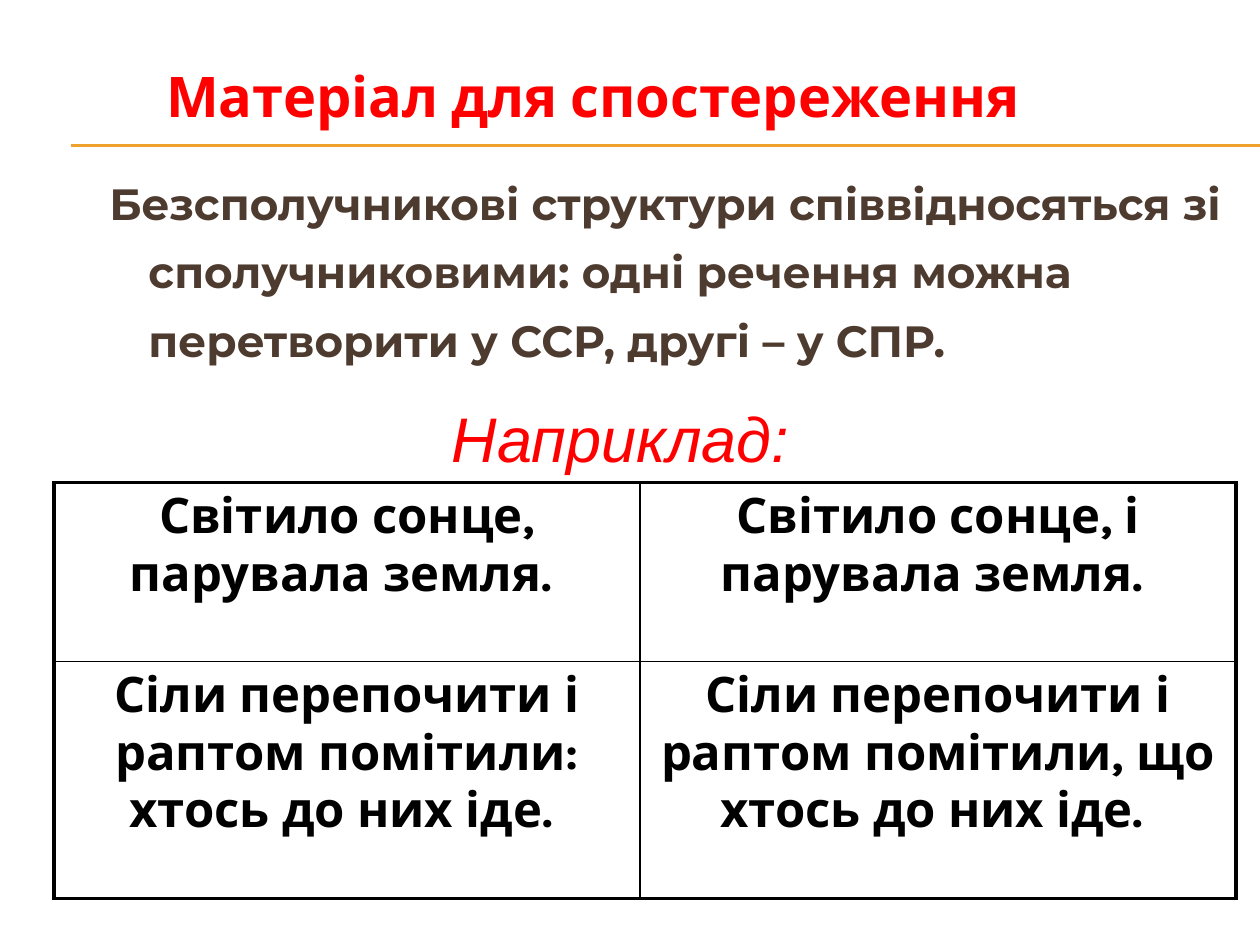
from lxml import etree
from pptx import Presentation
from pptx.dml.color import RGBColor
from pptx.enum import shapes, text
from pptx.oxml import ns
from pptx.util import Inches, Pt

COLORS = {"red": "FF0000", "brown": "4E3B30", "black": "000000", "gold": "F0A22E"}


def write(frame, content, font, size, color, bold=False, italic=False,
          align=text.PP_ALIGN.LEFT, wrap=True, spacing=None):
    frame.word_wrap = wrap
    paragraph = frame.paragraphs[0]
    paragraph.alignment = align
    paragraph.line_spacing = spacing
    run = paragraph.add_run()
    run.text = content
    run.font.name = font
    run.font.size = Pt(size)
    run.font.bold = bold
    run.font.italic = italic
    run.font.color.rgb = RGBColor.from_string(COLORS[color])
    return paragraph


def add_border(cell, side, width):
    props = cell._tc.get_or_add_tcPr()
    border = etree.SubElement(props, ns.qn(f"a:{side}"), w=str(Pt(width)))
    fill = etree.SubElement(border, ns.qn("a:solidFill"))
    etree.SubElement(fill, ns.qn("a:srgbClr"), val=COLORS["black"])


prs = Presentation()
prs.slide_width = Inches(10)
prs.slide_height = Inches(7.5)
slide = prs.slides.add_slide(prs.slide_layouts[6])

for y in (1.15, 1.16):
    rule = slide.shapes.add_connector(
        shapes.MSO_CONNECTOR.STRAIGHT, Inches(0.56), Inches(y), Inches(10), Inches(y))
    rule.line.color.rgb = RGBColor.from_string(COLORS["gold"])
    rule.line.width = Pt(0.75)
    etree.SubElement(rule._element.spPr, ns.qn("a:effectLst"))

statement = slide.shapes.add_textbox(Inches(0.27), Inches(1.23), Inches(9.73), Inches(6.27))
statement_line = write(
    statement.text_frame,
    "Безсполучникові структури співвідносяться зі сполучниковими: "
    "одні речення можна перетворити у ССР, другі – у СПР.",
    "Montserrat", 25, "brown", bold=True, spacing=1.3)
indent = statement_line._p.get_or_add_pPr()
indent.set("marL", str(Inches(0.81)))
indent.set("indent", str(Inches(-0.31)))

sentences = [
    ["Світило сонце, парувала земля. ", "Світило сонце, і парувала земля. "],
    ["Сіли перепочити і раптом помітили: хтось до них іде. ",
     "Сіли перепочити і раптом помітили, що хтось до них іде. "],
]
examples = slide.shapes.add_table(
    2, 2, Inches(0.43), Inches(3.83), Inches(9.38), Inches(3.3)).table
examples.first_row = False
examples.horz_banding = False
for column, width in zip(examples.columns, (4.65, 4.73)):
    column.width = Inches(width)
for row, height in zip(examples.rows, (1.42, 1.88)):
    row.height = Inches(height)

for r, pair in enumerate(sentences):
    for c, sentence in enumerate(pair):
        cell = examples.cell(r, c)
        write(cell.text_frame, sentence, "Karla", 28, "black", bold=True,
              align=text.PP_ALIGN.CENTER)
        outer = {"lnL": c == 0, "lnR": c == 1, "lnT": r == 0, "lnB": r == 1}
        for side, is_outer in outer.items():
            add_border(cell, side, 2.25 if is_outer else 1)
        cell.fill.background()

example_label = slide.shapes.add_textbox(Inches(3.58), Inches(3.12), Inches(2.83), Inches(0.57))
example_label.text_frame.margin_left = Inches(0)
example_label.text_frame.margin_right = Inches(0)
write(example_label.text_frame, "Наприклад: ", "Arial", 36, "red", italic=True,
      align=text.PP_ALIGN.CENTER, wrap=False)

title = slide.shapes.add_textbox(Inches(1.22), Inches(0.44), Inches(7.48), Inches(0.64))
write(title.text_frame, "Матеріал для спостереження", "Cabin", 32, "red", bold=True)

prs.save("out.pptx")
